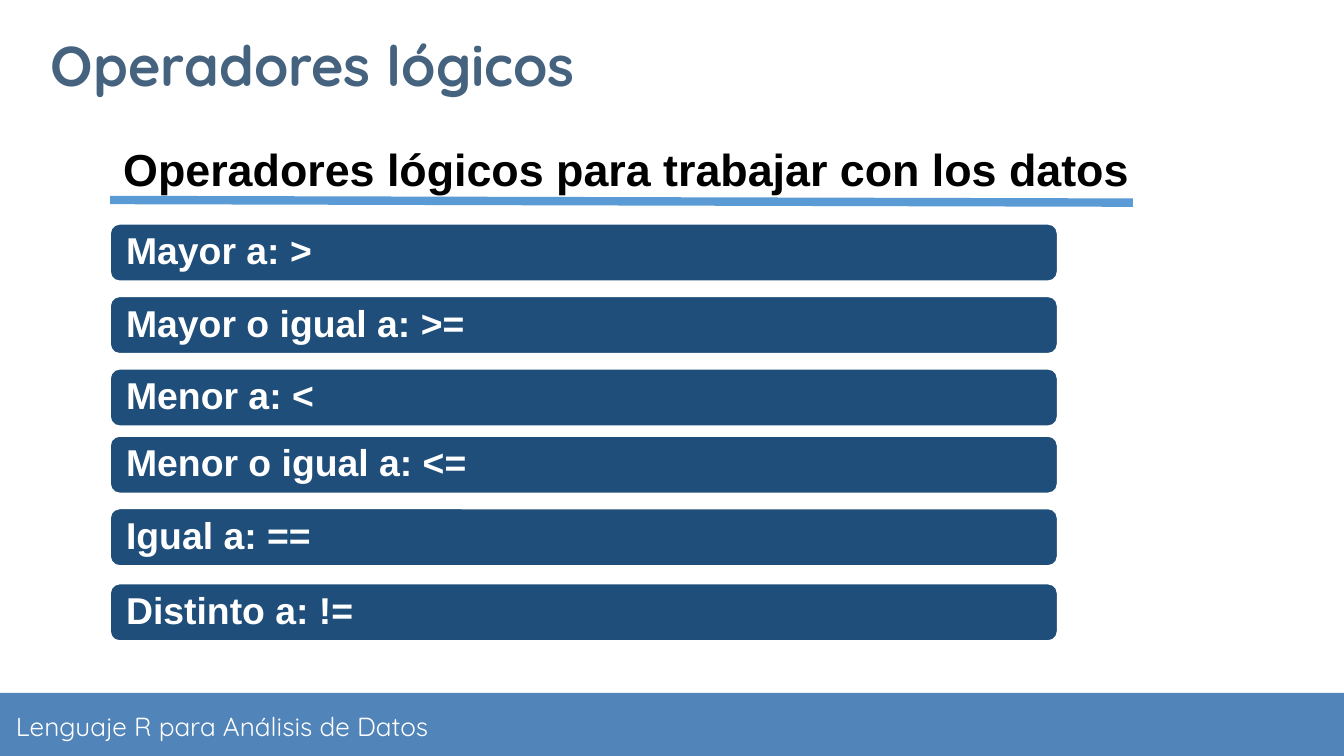
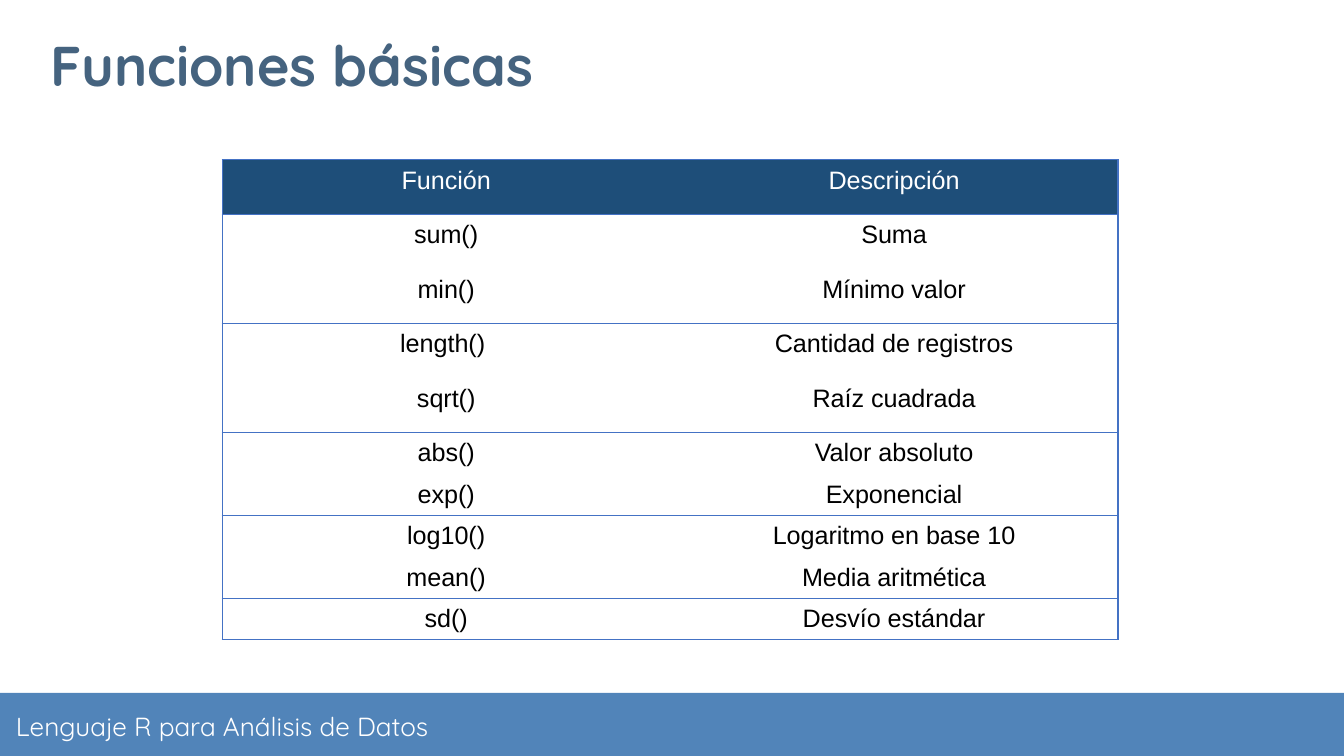
"""Build two slides on logical operators and basic functions in R."""
from dataclasses import dataclass

from lxml import etree
from pptx import Presentation
from pptx import util as u
from pptx.dml.color import RGBColor
from pptx.enum import shapes, text
from pptx.oxml import ns

WHITE = RGBColor(0xFF, 0xFF, 0xFF)
BLACK = RGBColor(0x00, 0x00, 0x00)
SLATE = RGBColor(0x45, 0x63, 0x7F)
BAND = RGBColor(0x51, 0x84, 0xB9)
NAVY = RGBColor(0x1E, 0x4E, 0x79)
SKY = RGBColor(0x5B, 0x9B, 0xD5)
GRID = RGBColor(0x44, 0x72, 0xC4)
FOOTER = "Lenguaje R para Análisis de Datos"


@dataclass(frozen=True)
class Style:
    size: float
    font: str
    color: RGBColor
    bold: bool = False


@dataclass(frozen=True)
class Box:
    left: float
    top: float
    width: float
    height: float

    def lengths(self) -> tuple:
        return tuple(u.Cm(v) for v in (self.left, self.top, self.width, self.height))


@dataclass(frozen=True)
class Operator:
    label: str
    top: float


@dataclass(frozen=True)
class Function:
    name: str
    description: str
    height: float
    closes_group: bool


TITLE = Style(30, "Quicksand", SLATE, True)
FOOT = Style(14, "Quicksand", WHITE)
HEADING = Style(24, "Arial", BLACK, True)
BAR = Style(20, "Arial", WHITE, True)
HEAD_CELL = Style(13.5, "Arial", WHITE)
BODY_CELL = Style(13.5, "Arial", BLACK)

TALL, SHORT = 1.03, 0.78

OPERATORS = [
    Operator("Mayor a: >", 4.23),
    Operator("Mayor o igual a: >=", 5.6),
    Operator("Menor a: <", 6.97),
    Operator("Menor o igual a: <=", 8.24),
    Operator("Igual a: ==", 9.61),
    Operator("Distinto a: !=", 11.03),
]

FUNCTIONS = [
    Function("Función", "Descripción", TALL, True),
    Function("sum()", "Suma", TALL, False),
    Function("min()", "Mínimo valor", TALL, True),
    Function("length() ", "Cantidad de registros", TALL, False),
    Function("sqrt()", "Raíz cuadrada", TALL, True),
    Function("abs()", "Valor absoluto", SHORT, False),
    Function("exp()", "Exponencial", SHORT, True),
    Function("log10()", "Logaritmo en base 10", SHORT, False),
    Function("mean()", "Media aritmética", SHORT, True),
    Function("sd()", "Desvío estándar", SHORT, True),
]


def write(tf, words: str, style: Style, align=text.PP_ALIGN.LEFT) -> None:
    """Set the text of a frame and format its run."""
    tf.text = words
    p = tf.paragraphs[0]
    p.alignment = align
    font = p.runs[0].font
    font.size = u.Pt(style.size)
    font.name = style.font
    font.bold = style.bold
    font.color.rgb = style.color


def set_frame(tf, vertical: float, anchor=text.MSO_ANCHOR.MIDDLE) -> None:
    """Set wrapping, anchor and insets of a text frame."""
    tf.word_wrap = True
    tf.auto_size = text.MSO_AUTO_SIZE.NONE
    tf.vertical_anchor = anchor
    tf.margin_left = tf.margin_right = u.Cm(0.25)
    tf.margin_top = tf.margin_bottom = u.Cm(vertical)


def add_block(s, kind: shapes.MSO_SHAPE, box: Box, fill: RGBColor):
    """Add a flat filled shape without an outline."""
    sp = s.shapes.add_shape(kind, *box.lengths())
    sp.shadow.inherit = False
    sp.fill.solid()
    sp.fill.fore_color.rgb = fill
    sp.line.fill.background()
    return sp


def add_text(s, box: Box, words: str, style: Style, vertical: float, anchor) -> None:
    """Add a wrapped text box."""
    tf = s.shapes.add_textbox(*box.lengths()).text_frame
    set_frame(tf, vertical, anchor)
    write(tf, words, style)


def add_slide(prs, title: str):
    """Add a slide with its title and footer band."""
    s = prs.slides.add_slide(prs.slide_layouts[5])
    add_block(s, shapes.MSO_SHAPE.RECTANGLE, Box(0, 13.1, 25.4, 1.19), BAND)
    add_text(s, Box(0.05, 13.13, 12.62, 1.19), FOOTER, FOOT, 0.25, text.MSO_ANCHOR.MIDDLE)
    sp = s.shapes.title
    sp.left, sp.top, sp.width, sp.height = Box(0.71, 0.56, 16.74, 1.3).lengths()
    set_frame(sp.text_frame, 0.25)
    write(sp.text_frame, title, TITLE)
    return s


def add_underline(s) -> None:
    """Add the rule below the heading."""
    ends = (u.Cm(v) for v in (2.08, 3.78, 21.41, 3.83))
    line = s.shapes.add_connector(shapes.MSO_CONNECTOR.STRAIGHT, *ends)
    line.line.color.rgb = SKY
    line.line.width = u.Pt(4.5)
    etree.SubElement(line._element.spPr, ns.qn("a:effectLst"))


def add_bar(s, operator: Operator) -> None:
    """Add one rounded operator bar."""
    box = Box(2.08, operator.top, 17.91, 1.09)
    sp = add_block(s, shapes.MSO_SHAPE.ROUNDED_RECTANGLE, box, NAVY)
    sp.line.color.rgb = WHITE
    sp.line.width = u.Pt(1)
    set_frame(sp.text_frame, 0.2)
    write(sp.text_frame, operator.label, BAR)
    sp.text_frame.paragraphs[0].line_spacing = 0.9


def set_borders(cell, drawn: dict[str, bool]) -> None:
    """Draw or clear the borders of a cell, given in schema order."""
    props = cell._tc.get_or_add_tcPr()
    for i, (side, visible) in enumerate(drawn.items()):
        ln = etree.Element(ns.qn(f"a:ln{side}"), w=str(u.Pt(0.75)))
        if visible:
            fill = etree.SubElement(ln, ns.qn("a:solidFill"))
            etree.SubElement(fill, ns.qn("a:srgbClr"), val=str(GRID))
        else:
            etree.SubElement(ln, ns.qn("a:noFill"))
        props.insert(i, ln)


def add_function_table(s, functions: list[Function]) -> None:
    """Add the table of functions, ruled between groups."""
    box = Box(4.2, 3.02, 16.93, sum(f.height for f in functions))
    table = s.shapes.add_table(len(functions), 2, *box.lengths()).table
    table.first_row = table.horz_banding = False
    for r, function in enumerate(functions):
        table.rows[r].height = u.Cm(function.height)
        for c, words in enumerate((function.name, function.description)):
            cell = table.cell(r, c)
            cell.fill.solid()
            cell.fill.fore_color.rgb = WHITE if r else NAVY
            style = BODY_CELL if r else HEAD_CELL
            write(cell.text_frame, words, style, text.PP_ALIGN.CENTER)
            top = r == 0 or functions[r - 1].closes_group
            set_borders(cell, {"L": c == 0, "R": c == 1, "T": top,
                               "B": function.closes_group})


def build_operators(prs) -> None:
    """Build the slide of logical operators."""
    s = add_slide(prs, "Operadores lógicos")
    add_text(s, Box(2.08, 2.54, 19.69, 1.27), "Operadores lógicos para trabajar con los datos",
             HEADING, 0.13, text.MSO_ANCHOR.TOP)
    add_underline(s)
    for operator in OPERATORS:
        add_bar(s, operator)


def build_functions(prs) -> None:
    """Build the slide of basic functions."""
    s = add_slide(prs, "Funciones básicas")
    add_function_table(s, FUNCTIONS)


def main() -> None:
    """Build and save the presentation."""
    prs = Presentation()
    prs.slide_width, prs.slide_height = u.Cm(25.4), u.Cm(14.29)
    build_operators(prs)
    build_functions(prs)
    prs.save("out.pptx")


main()
